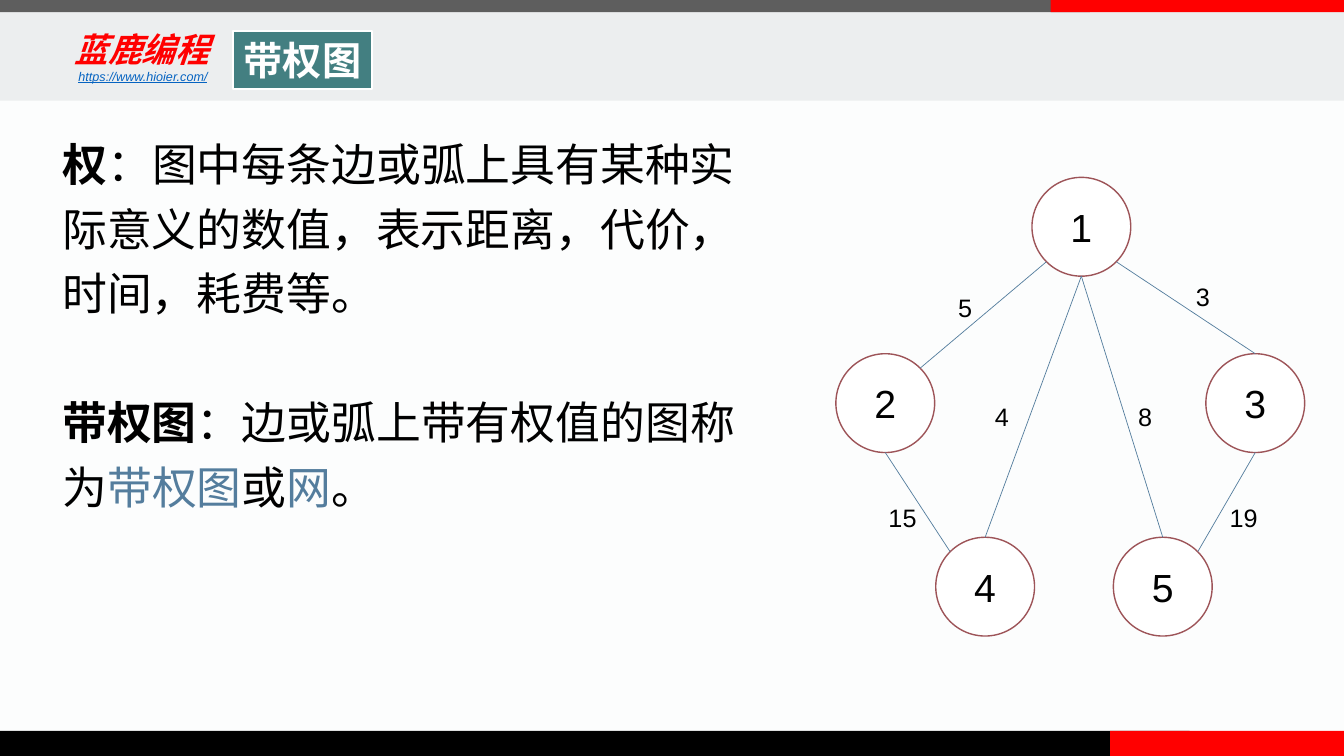
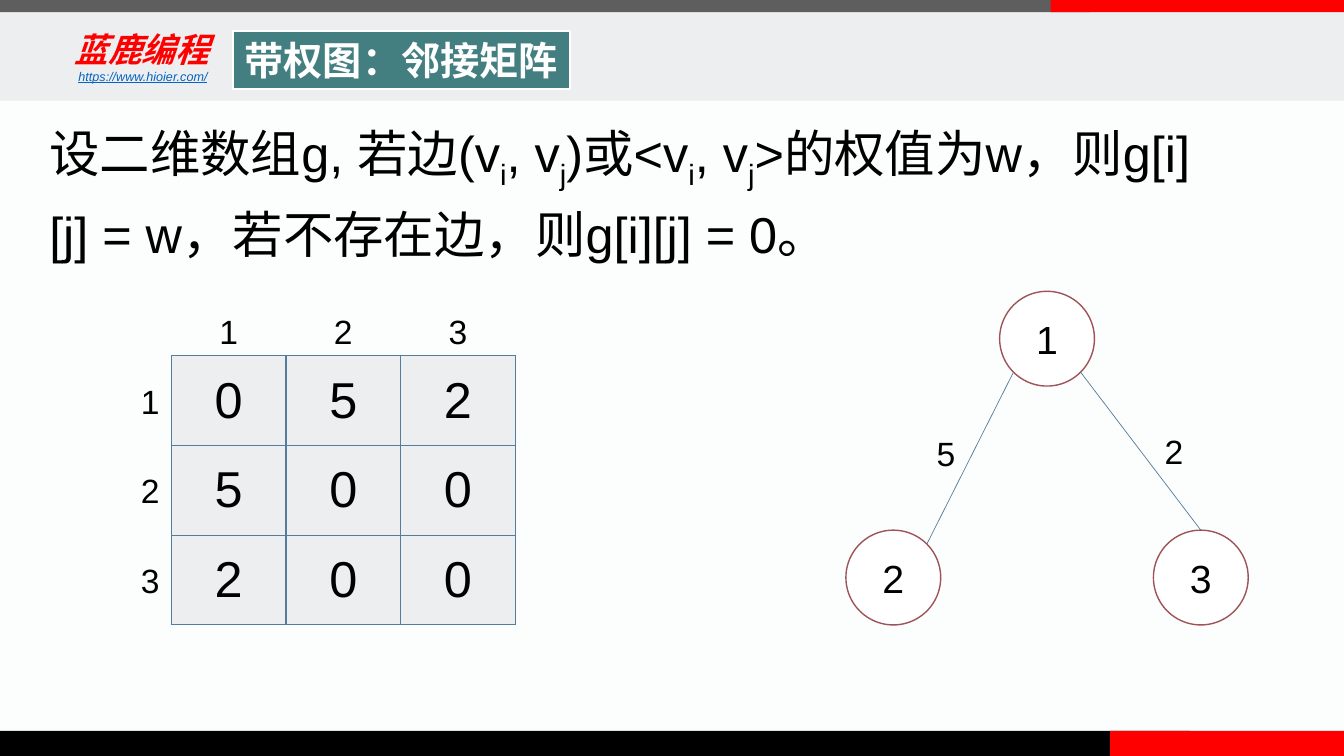
from lxml import etree
from pptx import Presentation
from pptx.dml.color import RGBColor
from pptx.enum.shapes import MSO_CONNECTOR, MSO_SHAPE
from pptx.enum.text import MSO_ANCHOR, MSO_AUTO_SIZE, PP_ALIGN
from pptx.oxml.ns import qn
from pptx.util import Inches, Pt

SLIDE_W, SLIDE_H = 13.33, 7.5
TITLE_ONLY = 5
RECT, OVAL = MSO_SHAPE.RECTANGLE, MSO_SHAPE.OVAL
STRAIGHT = MSO_CONNECTOR.STRAIGHT
LEFT, CENTER = PP_ALIGN.LEFT, PP_ALIGN.CENTER
TOP, MIDDLE = MSO_ANCHOR.TOP, MSO_ANCHOR.MIDDLE
NO_AUTOFIT = MSO_AUTO_SIZE.NONE

PAPER = RGBColor(0xFC, 0xFD, 0xFD)
PALE = RGBColor(0xEC, 0xEE, 0xEF)
GREY = RGBColor(0x5E, 0x5E, 0x5E)
BLACK = RGBColor(0, 0, 0)
WHITE = RGBColor(0xFF, 0xFF, 0xFF)
RED = RGBColor(0xFF, 0, 0)
LINK_BLUE = RGBColor(0x05, 0x63, 0xC1)
TEAL = RGBColor(0x43, 0x7F, 0x81)
STEEL = RGBColor(0x54, 0x7D, 0x9D)
WINE = RGBColor(0x9D, 0x54, 0x58)

# Left, top, width, height and colour, from back to front
BANDS = [
    (0, 0, SLIDE_W, 1, PALE),
    (0, 0, 10.81, 0.12, GREY),
    (0, 7.25, 11.8, 0.25, BLACK),
    (11.01, 7.25, 2.32, 0.25, RED),
    (10.42, 0, 2.91, 0.12, RED),
]

# Direction from a node's centre to a point on its rim, in radii
DIAGONAL = 0.71
RIM = {
    "n": (0, -1), "s": (0, 1),
    "nw": (-DIAGONAL, -DIAGONAL), "ne": (DIAGONAL, -DIAGONAL),
    "sw": (-DIAGONAL, DIAGONAL), "se": (DIAGONAL, DIAGONAL),
}


def inches(*lengths):
    return [Inches(length) for length in lengths]


def add_run(paragraph, text, size, color=BLACK, font="Arial", bold=False,
            italic=False, underline=False, subscript=False):
    run = paragraph.add_run()
    run.text = text
    run.font.name = font
    run.font.size = Pt(size)
    run.font.bold = bold
    run.font.italic = italic
    run.font.underline = underline
    run.font.color.rgb = color
    if subscript:
        run._r.get_or_add_rPr().set("baseline", "-25000")


def add_text(slide, box, paragraphs, size, align=LEFT, anchor=TOP,
             line_spacing=1.0, gap=0):
    """Place paragraphs, each a list of (text, run format) pairs."""
    frame = slide.shapes.add_textbox(*inches(*box)).text_frame
    frame.word_wrap = True
    frame.vertical_anchor = anchor
    for index, runs in enumerate(paragraphs):
        paragraph = frame.add_paragraph() if index else frame.paragraphs[0]
        paragraph.alignment = align
        paragraph.line_spacing = line_spacing
        if index:
            paragraph.space_before = Pt(gap)
        for text, style in runs:
            add_run(paragraph, text, size, **style)


def add_label(slide, x, y, text, size):
    """Centre a short label on a point."""
    width, height = 0.7, 0.5
    add_text(slide, (x - width / 2, y - height / 2, width, height),
             [[(text, {})]], size, CENTER, MIDDLE)


def add_filled(slide, kind, box, fill):
    shape = slide.shapes.add_shape(kind, *inches(*box))
    shape.shadow.inherit = False
    shape.fill.solid()
    shape.fill.fore_color.rgb = fill
    shape.line.fill.background()
    return shape


def build_layout(slide):
    """Draw the bands and masthead, then hand them to the slide's layout."""
    layout = slide.slide_layout
    layout.background.fill.solid()
    layout.background.fill.fore_color.rgb = PAPER
    for *box, color in BANDS:
        add_filled(slide, RECT, box, color)
    add_text(slide, (0.64, 0.23, 1.89, 0.52),
             [[("蓝鹿编程", dict(color=RED, font="Lato", bold=True, italic=True))]],
             24, anchor=MIDDLE)
    add_text(slide, (0.68, 0.63, 6.67, 0.25),
             [[("https://www.hioier.com/",
                dict(color=LINK_BLUE, italic=True, underline=True))]], 9)
    for number, shape in enumerate(list(slide.shapes)):
        if not shape.is_placeholder:
            shape.element.xpath(".//p:cNvPr")[0].set("id", str(100 + number))
            layout.shapes.element.append(shape.element)


def set_title(slide, text, width):
    title = slide.shapes.title
    title.left, title.top, title.width, title.height = inches(2.31, 0.31, width, 0.57)
    title.fill.solid()
    title.fill.fore_color.rgb = TEAL
    title.line.color.rgb = WHITE
    title.line.width = Pt(1.5)
    frame = title.text_frame
    frame.auto_size = NO_AUTOFIT
    frame.word_wrap = False
    frame.vertical_anchor = MIDDLE
    frame.paragraphs[0].alignment = CENTER
    add_run(frame.paragraphs[0], text, 28, WHITE, bold=True)


def add_edge(slide, start, end):
    edge = slide.shapes.add_connector(STRAIGHT, *inches(*start, *end))
    edge.line.color.rgb = STEEL
    edge.line.width = Pt(0.5)
    etree.SubElement(edge.element.spPr, qn("a:effectLst"))


def add_graph(slide, box, diameter, nodes, edges, weight_size):
    """Draw a weighted graph.

    Nodes map a name to shares of the box's free width and height. Edges hold
    both ends with their rim side, the weight and its offset from the middle.
    """
    left, top, width, height = box
    radius = diameter / 2
    centers = {name: (left + radius + x * (width - diameter),
                      top + radius + y * (height - diameter))
               for name, (x, y) in nodes.items()}

    def rim_point(name, side):
        return [c + radius * d for c, d in zip(centers[name], RIM[side])]

    for name, (x, y) in centers.items():
        node = add_filled(slide, OVAL, (x - radius, y - radius, diameter, diameter), WHITE)
        node.line.color.rgb = WINE
        node.line.width = Pt(1)
        node.text_frame.vertical_anchor = MIDDLE
        node.text_frame.paragraphs[0].alignment = CENTER
        add_run(node.text_frame.paragraphs[0], name, 28)
    for tail, tail_side, head, head_side, weight, dx, dy in edges:
        start, end = rim_point(tail, tail_side), rim_point(head, head_side)
        add_edge(slide, start, end)
        add_label(slide, (start[0] + end[0]) / 2 + dx,
                  (start[1] + end[1]) / 2 + dy, weight, weight_size)


def set_borders(cell):
    properties = cell._tc.get_or_add_tcPr()
    for side in ("lnL", "lnR", "lnT", "lnB"):
        line = etree.SubElement(properties, qn(f"a:{side}"), w=str(int(Pt(1))))
        fill = etree.SubElement(line, qn("a:solidFill"))
        etree.SubElement(fill, qn("a:srgbClr"), val=str(STEEL))


def add_matrix(slide, box, values):
    """Draw a square matrix with numbered columns and rows outside the box."""
    left, top, width, height = box
    count = len(values)
    col_w, row_h = width / count, height / count
    table = slide.shapes.add_table(count, count, *inches(*box)).table
    table.first_row = table.horz_banding = False
    for i, row in enumerate(values):
        for j, value in enumerate(row):
            cell = table.cell(i, j)
            set_borders(cell)
            cell.fill.solid()
            cell.fill.fore_color.rgb = PALE
            cell.vertical_anchor = MIDDLE
            paragraph = cell.text_frame.paragraphs[0]
            paragraph.alignment = CENTER
            add_run(paragraph, str(value), 36)
        number = str(i + 1)
        add_label(slide, left + (i + 0.5) * col_w, top - 0.25, number, 24)
        add_label(slide, left - 0.21, top + (i + 0.5) * row_h, number, 24)


def fill_definition(slide):
    set_title(slide, "带权图", 1.38)
    bold, accent = dict(bold=True), dict(color=STEEL)
    add_text(slide, (0.52, 1.2, 6.88, 3.98), [
        [("权", bold),
         ("：图中每条边或弧上具有某种实际意义的数值，表示距离，代价，时间，耗费等。", {})],
        [("带权图", bold), ("：边或弧上带有权值的图称为", {}), ("带权图", accent),
         ("或", {}), ("网", accent), ("。", {})],
    ], 32, line_spacing=1.2, gap=46)
    nodes = {"1": (0.53, 0), "2": (0, 0.49), "3": (1, 0.49),
             "4": (0.27, 1), "5": (0.75, 1)}
    edges = [
        ("1", "sw", "2", "ne", "5", -0.18, -0.07),
        ("1", "se", "3", "n", "3", 0.17, -0.11),
        ("1", "s", "4", "n", "4", -0.31, 0.1),
        ("1", "s", "5", "n", "8", 0.23, 0.1),
        ("2", "s", "4", "nw", "15", -0.15, 0.15),
        ("3", "s", "5", "ne", "19", 0.17, 0.15),
    ]
    add_graph(slide, (8.29, 1.76, 4.65, 4.55), 0.98, nodes, edges, 18)


def fill_matrix(slide):
    set_title(slide, "带权图：邻接矩阵", 3.34)
    sub = dict(subscript=True)
    add_text(slide, (0.39, 1.03, 11.72, 1.49), [[
        ("设二维数组g, 若边(v", {}), ("i", sub), (", v", {}), ("j", sub),
        (")或<v", {}), ("i", sub), (", v", {}), ("j", sub),
        (">的权值为w，则g[i][j] = w，若不存在边，则g[i][j] = 0。", {}),
    ]], 36, line_spacing=1.2)
    add_matrix(slide, (1.7, 3.53, 3.41, 2.67), [[0, 5, 2], [5, 0, 0], [2, 0, 0]])
    nodes = {"1": (0.5, 0), "2": (0, 1), "3": (1, 1)}
    edges = [
        ("1", "sw", "2", "ne", "5", -0.24, -0.05),
        ("1", "se", "3", "n", "2", 0.33, 0),
    ]
    add_graph(slide, (8.39, 2.89, 3.99, 3.31), 0.94, nodes, edges, 24)


def main():
    deck = Presentation()
    deck.slide_width, deck.slide_height = inches(SLIDE_W, SLIDE_H)
    layout = deck.slide_layouts[TITLE_ONLY]
    definition, matrix = [deck.slides.add_slide(layout) for _ in range(2)]
    build_layout(definition)
    fill_definition(definition)
    fill_matrix(matrix)
    deck.save("out.pptx")


if __name__ == "__main__":
    main()
